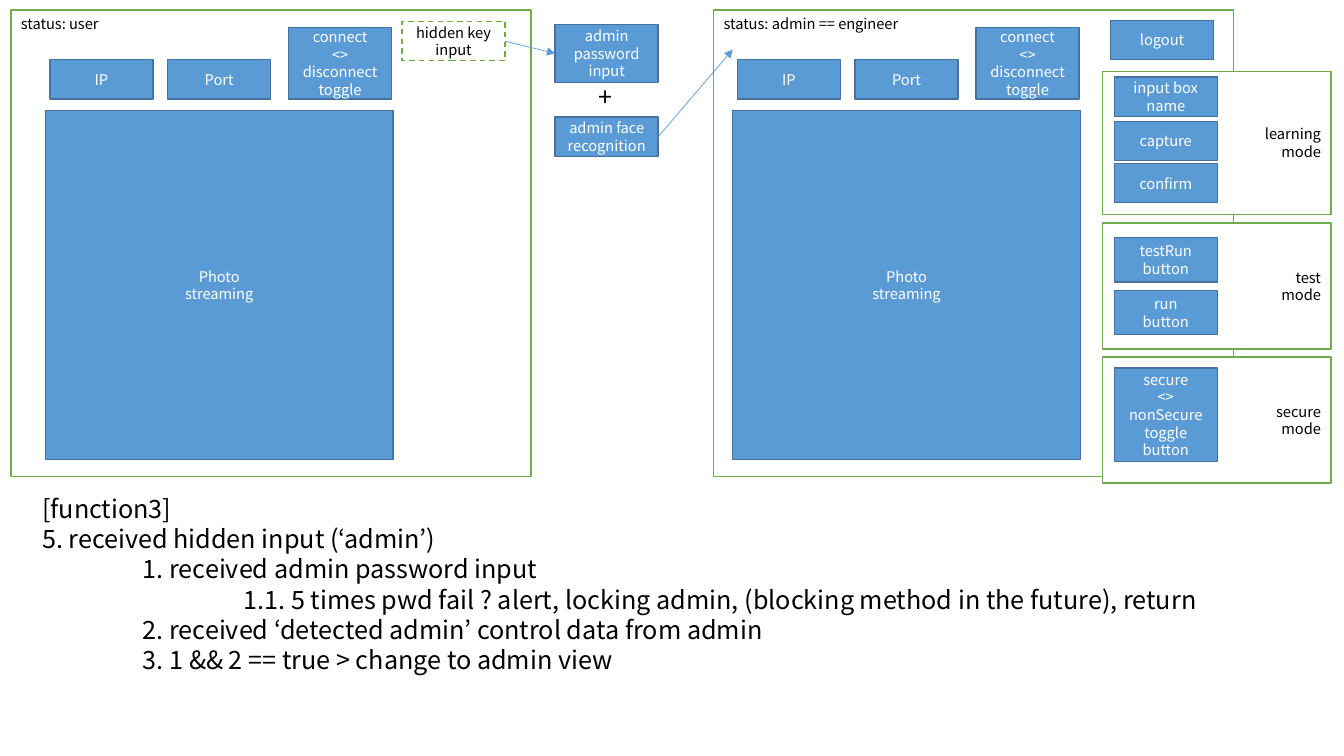
from pptx import Presentation
from pptx.util import Pt
from pptx.dml.color import RGBColor
from pptx.enum.dml import MSO_LINE
from pptx.enum.shapes import MSO_SHAPE, MSO_CONNECTOR
from pptx.enum.text import PP_ALIGN as AL, MSO_ANCHOR as ANCHOR
from pptx.oxml.ns import qn
from lxml.etree import SubElement

FONT = "Noto Sans CJK KR"
C = {"blue": "5B9BD5", "edge": "43739E", "green": "70AD47",
     "white": "FFFFFF", "black": "000000"}

# Content: all positions in points
BTN_W, BTN_H = 73.6, 28.1
VIEWS = [  # status, panel left, left of the streaming area
    ("status: admin == engineer", 509.8, 523.4),
    ("status: user", 7.9, 32.4),
]
VIEW_WIDGETS = [  # text, offset from the streaming area, top, width, height
    ("Photo\nstreaming", 0, 79.1, 248.4, 249.3),
    ("IP", 3.3, 42.6, BTN_W, BTN_H),
    ("Port", 87.4, 42.6, BTN_W, BTN_H),
    ("connect\n<> disconnect toggle", 173.8, 19.6, BTN_W, 51.1),
]
LOGIN = [  # text, left, top, height
    ("admin password input", 396.6, 17.6, 41.2),
    ("admin face recognition", 396.6, 83.6, BTN_H),
    ("logout", 793.3, 14.6, BTN_H),
]
ARROWS = [(360.7, 29.4, 396.6, 38.2), (470.2, 97.6, 523.4, 35.4)]
MODES = [  # name, top, height, buttons (text, top, height)
    ("secure\nmode", 255.1, 90, [("secure\n<> nonSecure\ntoggle button", 262.8, 66.8)]),
    ("test\nmode", 159.4, 90, [("testRun\nbutton", 169.7, 31.7),
                               ("run\nbutton", 207.5, 31.7)]),
    ("learning\nmode", 51.1, 102, [("input box\nname", 55.1, BTN_H),
                                   ("capture", 86.7, BTN_H),
                                   ("confirm", 116.8, BTN_H)]),
]
STEPS = [  # indent level, text
    (0, "[function3]"),
    (0, "5. received hidden input (‘admin’)"),
    (1, "1. received admin password input"),
    (2, "1.1. 5 times pwd fail ? alert, locking admin, "
        "(blocking method in the future), return"),
    (1, "2. received ‘detected admin’ control data from admin"),
    (1, "3. 1 && 2 == true > change to admin view"),
]

prs = Presentation()
prs.slide_width, prs.slide_height = Pt(960), Pt(540)
shapes = prs.slides.add_slide(prs.slide_layouts[6]).shapes


def rgb(name):
    return RGBColor.from_string(C[name])


def write(tf, text, size=10.5, color="black", align=AL.LEFT, anchor=ANCHOR.TOP,
          wrap=True, levels=None):
    tf.word_wrap, tf.vertical_anchor = wrap, anchor
    for i, line in enumerate(text.split("\n")):
        p = tf.add_paragraph() if i else tf.paragraphs[0]
        p.alignment = align
        if levels:
            p._p.get_or_add_pPr().set("marL", str(Pt(72 * levels[i])))
        r = p.add_run()
        r.text = line
        r.font.name, r.font.size = FONT, Pt(size)
        r.font.color.rgb = rgb(color)


def box(text, x, y, w, h, fill="white", line="green", dash=None, **fmt):
    s = shapes.add_shape(MSO_SHAPE.RECTANGLE, Pt(x), Pt(y), Pt(w), Pt(h))
    s.shadow.inherit = False
    s.fill.solid()
    s.fill.fore_color.rgb = rgb(fill)
    s.line.color.rgb = rgb(line)
    s.line.width = Pt(1)
    if dash:
        s.line.dash_style = dash
    write(s.text_frame, text, **fmt)


def button(text, x, y, w, h):
    box(text, x, y, w, h, fill="blue", line="edge", color="white",
        align=AL.CENTER, anchor=ANCHOR.MIDDLE)


def label(text, x, y, w, h, **fmt):
    write(shapes.add_textbox(Pt(x), Pt(y), Pt(w), Pt(h)).text_frame, text, **fmt)


# User and admin views
for status, panel_x, stream_x in VIEWS:
    box(status, panel_x, 7.2, 371.5, 333.4)
    for text, dx, y, w, h in VIEW_WIDGETS:
        button(text, stream_x + dx, y, w, h)

# Login path between the views
box("hidden key input", 287.2, 15.3, BTN_W, BTN_H, dash=MSO_LINE.DASH,
    align=AL.CENTER, anchor=ANCHOR.MIDDLE)
for text, x, y, h in LOGIN:
    button(text, x, y, BTN_W, h)
label("+", 420.2, 54.7, 27.4, 28.8, size=18, wrap=False)
for x1, y1, x2, y2 in ARROWS:
    s = shapes.add_connector(MSO_CONNECTOR.STRAIGHT, Pt(x1), Pt(y1), Pt(x2), Pt(y2))
    s.line.color.rgb = rgb("blue")
    s.line.width = Pt(0.5)
    SubElement(s.line._get_or_add_ln(), qn("a:tailEnd"), type="triangle")
    SubElement(s._element.spPr, qn("a:effectLst"))

# Admin modes
for name, y, h, buttons in MODES:
    box(name, 787.7, y, 163, h, align=AL.RIGHT, anchor=ANCHOR.MIDDLE)
    for text, btn_y, btn_h in buttons:
        button(text, 795.9, btn_y, BTN_W, btn_h)

# Function steps
label("\n".join(text for _, text in STEPS), 23, 348.7, 917.3, 138, size=18,
      levels=[level for level, _ in STEPS])

prs.save("out.pptx")
